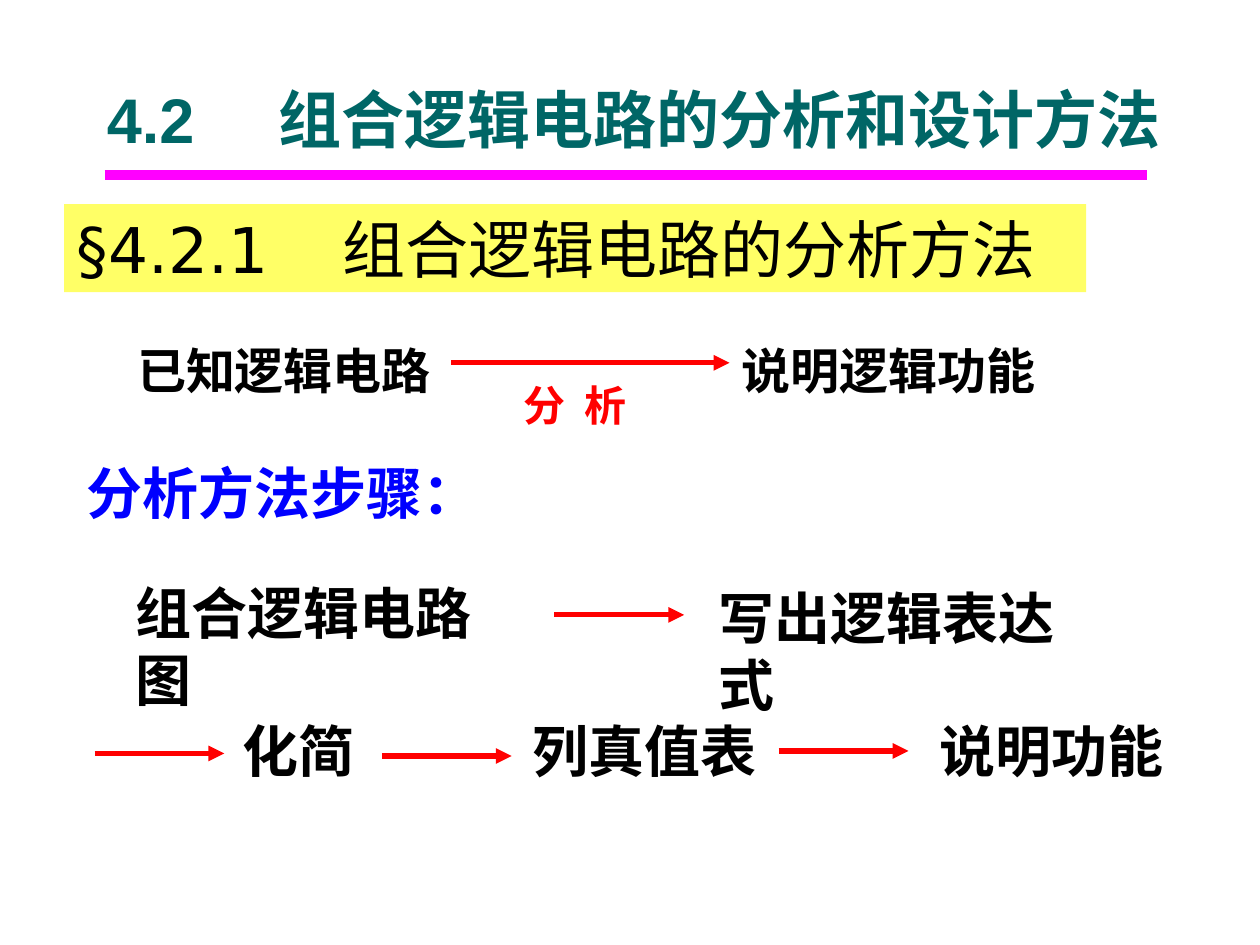
from lxml import etree
from pptx import Presentation
from pptx.dml.color import RGBColor
from pptx.enum import shapes, text
from pptx.oxml import ns
from pptx.util import Inches, Pt

CJK = "Noto Sans CJK SC"
BLACK, RED, BLUE = "000000", "FF0000", "0000FF"
TEAL, MAGENTA, YELLOW = "006666", "FF00FF", "FFFF66"


def color(value):
    return RGBColor.from_string(value)


def write(shape, words, size, ink=BLACK, font=CJK, bold=True, wrap=False, tab=None):
    """Put one formatted line of text in a shape."""
    frame = shape.text_frame
    frame.word_wrap = wrap
    para = frame.paragraphs[0]
    para.alignment = text.PP_ALIGN.LEFT
    para.text = words
    if tab:
        stops = etree.SubElement(para._p.get_or_add_pPr(), ns.qn("a:tabLst"))
        etree.SubElement(stops, ns.qn("a:tab"), pos=str(Inches(tab)), algn="l")
    for span in para.runs:
        span.font.size, span.font.bold, span.font.name = Pt(size), bold, font
        span.font.color.rgb = color(ink)
        east_asian = etree.SubElement(span._r.get_or_add_rPr(), ns.qn("a:ea"))
        east_asian.set("typeface", CJK)
    return para


def add_label(parts, left, top, width, height, words, size, **style):
    box = parts.add_textbox(Inches(left), Inches(top), Inches(width), Inches(height))
    return box, write(box, words, size, **style)


def add_rule(parts, left, top, length, ink=RED, weight=3, arrow=True):
    """Draw a horizontal line, with an arrowhead at its right end if asked."""
    rule = parts.add_connector(shapes.MSO_CONNECTOR.STRAIGHT, Inches(left), Inches(top),
                               Inches(left + length), Inches(top))
    rule.line.color.rgb = color(ink)
    rule.line.width = Pt(weight)
    if arrow:
        etree.SubElement(rule.line._get_or_add_ln(), ns.qn("a:tailEnd"), type="triangle")
    etree.SubElement(rule._element.spPr, ns.qn("a:effectLst"))


def add_title(page, left, top, width, height):
    box, para = add_label(page.shapes, left, top, width, height,
                          "4.2\t组合逻辑电路的分析和设计方法", 36,
                          ink=TEAL, font="Arial", wrap=True, tab=1.36)
    box.text_frame.vertical_anchor = text.MSO_ANCHOR.MIDDLE
    para.line_spacing = 0.9
    add_rule(page.shapes, left + 0.08, top + 0.73, 8.27, MAGENTA, 6, arrow=False)


def add_section(page, left, top, width, height):
    banner = page.shapes.add_shape(shapes.MSO_SHAPE.RECTANGLE, Inches(left), Inches(top),
                                   Inches(width), Inches(height))
    banner.shadow.inherit = False
    banner.fill.solid()
    banner.fill.fore_color.rgb = color(YELLOW)
    banner.line.fill.background()
    banner.text_frame.vertical_anchor = text.MSO_ANCHOR.TOP
    write(banner, "§4.2.1\t组合逻辑电路的分析方法", 36,
          font="DejaVu Sans", bold=False, wrap=True, tab=2.11)


def add_purpose(page, left, top):
    """Known circuit, analysed into its function."""
    parts = page.shapes.add_group_shape().shapes
    for offset, words in ((0, "已知逻辑电路"), (4.8, "说明逻辑功能")):
        add_label(parts, left + offset, top, 2.53, 0.57, words, 28, font="Times New Roman")
    add_rule(parts, left + 2.59, top + 0.23, 2.21)
    add_label(parts, left + 3.07, top + 0.31, 1.42, 0.5, "分\t析", 24,
              ink=RED, font="Times New Roman", wrap=True, tab=0.48)


def add_steps(page, left, top, labels, arrows):
    """One row of steps: labels as (x, y, width, words), arrows as (x, y)."""
    parts = page.shapes.add_group_shape().shapes
    for x, y, width, words in labels:
        add_label(parts, left + x, top + y, width, 0.64, words, 32)
    for x, y in arrows:
        add_rule(parts, left + x, top + y, 1.03)


def main():
    deck = Presentation()
    deck.slide_width, deck.slide_height = Inches(10), Inches(7.5)
    page = deck.slides.add_slide(deck.slide_layouts[6])

    # Headings
    add_title(page, 0.75, 0.66, 8.82, 0.64)
    add_section(page, 0.51, 1.62, 8.11, 0.7)

    # What analysis means
    add_purpose(page, 0.99, 2.65)

    # Steps of the method
    add_label(page.shapes, 0.59, 3.59, 3.44, 0.64, "分析方法步骤：", 32, ink=BLUE, wrap=True)
    add_steps(page, 0.98, 4.54,
              [(0, 0, 3.31, "组合逻辑电路图"), (4.62, 0.04, 3.31, "写出逻辑表达式")],
              [(3.42, 0.34)])
    add_steps(page, 0.75, 5.64,
              [(1.08, 0, 1.09, "化简"), (3.38, 0, 1.98, "列真值表"), (6.61, 0, 1.98, "说明功能")],
              [(0, 0.34), (2.28, 0.36), (5.43, 0.32)])

    deck.save("out.pptx")


if __name__ == "__main__":
    main()
